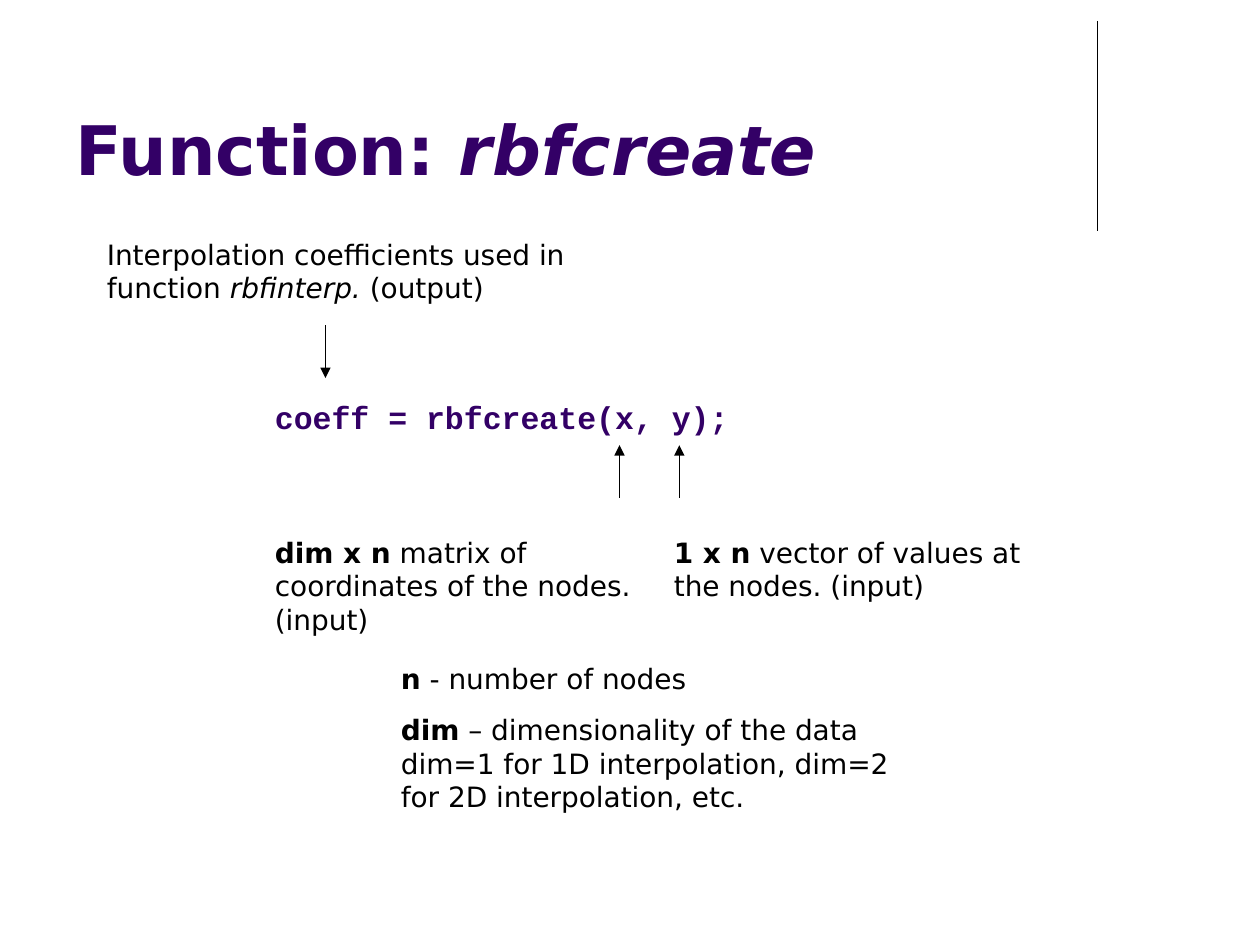
"""Build a slide that explains the arguments of the function rbfcreate."""
from lxml import etree
from pptx import Presentation
from pptx.dml.color import RGBColor
from pptx.enum.shapes import MSO_CONNECTOR
from pptx.enum.text import MSO_ANCHOR
from pptx.oxml.ns import qn
from pptx.util import Inches, Pt

STRAIGHT = MSO_CONNECTOR.STRAIGHT
TOP, BOTTOM = MSO_ANCHOR.TOP, MSO_ANCHOR.BOTTOM
WIDTH, HEIGHT = Inches(10), Inches(7.5)
COLUMNS, ROWS = 120, 90

BOLD, ITALIC = {"bold": True}, {"italic": True}
TITLE = {"name": "DejaVu Sans", "size": Pt(39), "color": "330066", "bold": True}
CODE = {"name": "Courier New", "size": Pt(18), "color": "330066", "bold": True}
NOTE = {"name": "DejaVu Sans", "size": Pt(16), "color": "000000"}

# Each text: (column, row, columns, rows), style, frame, space before, paragraphs
TEXTS = [
    ((6, 1.6, 99, 17), TITLE, {"word_wrap": True, "vertical_anchor": BOTTOM}, 0,
     [[("Function: ", {}), ("rbfcreate", ITALIC)]]),
    ((25, 37.3, 45.6, 4.8), CODE, {"word_wrap": False, "vertical_anchor": TOP}, 0,
     [[("coeff = rbfcreate(x, y);", {})]]),
]
NOTES = [
    ((9, 22, 49, 7.7),
     [[("Interpolation coefficients used in function ", {}),
       ("rbfinterp. ", ITALIC), ("(output)", {})]]),
    ((25, 50.4, 37, 10.8),
     [[("dim x n", BOLD), (" matrix of coordinates of the nodes. (input)", {})]]),
    ((63, 50.4, 37, 7.7),
     [[("1 x n", BOLD), (" vector of values at the nodes. (input)", {})]]),
    ((37, 62.4, 49, 15.7),
     [[("n", BOLD), (" - number of nodes", {})],
      [("dim", BOLD), (" – dimensionality of the data ", {}), ("\n", {}),
       ("dim=1 for 1D interpolation, dim=2 for 2D interpolation, etc.", {})]]),
]
TEXTS += [(box, NOTE, {"word_wrap": True, "vertical_anchor": TOP}, 10, paragraphs)
          for box, paragraphs in NOTES]

RULE = (104.5, 2, 22)
ARROWS = [(31, 31, 36), (59, 47.4, 42.4), (64.7, 47.4, 42.4)]


def rgb(value):
    """Return the colour for a hex string."""
    return RGBColor.from_string(value)


def place(column, row):
    """Return the slide position of a grid point."""
    return round(WIDTH * column / COLUMNS), round(HEIGHT * row / ROWS)


def add_text(slide, box, style, frame_format, space, paragraphs):
    """Add a text box with styled runs."""
    frame = slide.shapes.add_textbox(*place(*box[:2]), *place(*box[2:])).text_frame
    for key, value in frame_format.items():
        setattr(frame, key, value)
    for index, runs in enumerate(paragraphs):
        paragraph = frame.add_paragraph() if index else frame.paragraphs[0]
        paragraph.space_before = Pt(space)
        for words, emphasis in runs:
            if words == "\n":
                paragraph.add_line_break()
                continue
            run = paragraph.add_run()
            run.text = words
            for key, value in {**style, **emphasis}.items():
                if key == "color":
                    run.font.color.rgb = rgb(value)
                else:
                    setattr(run.font, key, value)


def add_vertical(slide, column, start, end, arrow=False):
    """Add a vertical line, with an arrowhead at its end if wanted."""
    line = slide.shapes.add_connector(STRAIGHT, *place(column, start), *place(column, end))
    line.line.color.rgb = rgb("000000")
    line.line.width = Pt(0.75)
    if arrow:
        outline = line.line._get_or_add_ln()
        etree.SubElement(outline, qn("a:tailEnd"), type="triangle")
    etree.SubElement(line._element.spPr, qn("a:effectLst"))


def main():
    """Build and save the slide."""
    deck = Presentation()
    deck.slide_width, deck.slide_height = WIDTH, HEIGHT
    slide = deck.slides.add_slide(deck.slide_layouts[6])
    add_vertical(slide, *RULE)
    for text in TEXTS:
        add_text(slide, *text)
    for arrow in ARROWS:
        add_vertical(slide, *arrow, arrow=True)
    deck.save("out.pptx")


if __name__ == "__main__":
    main()
